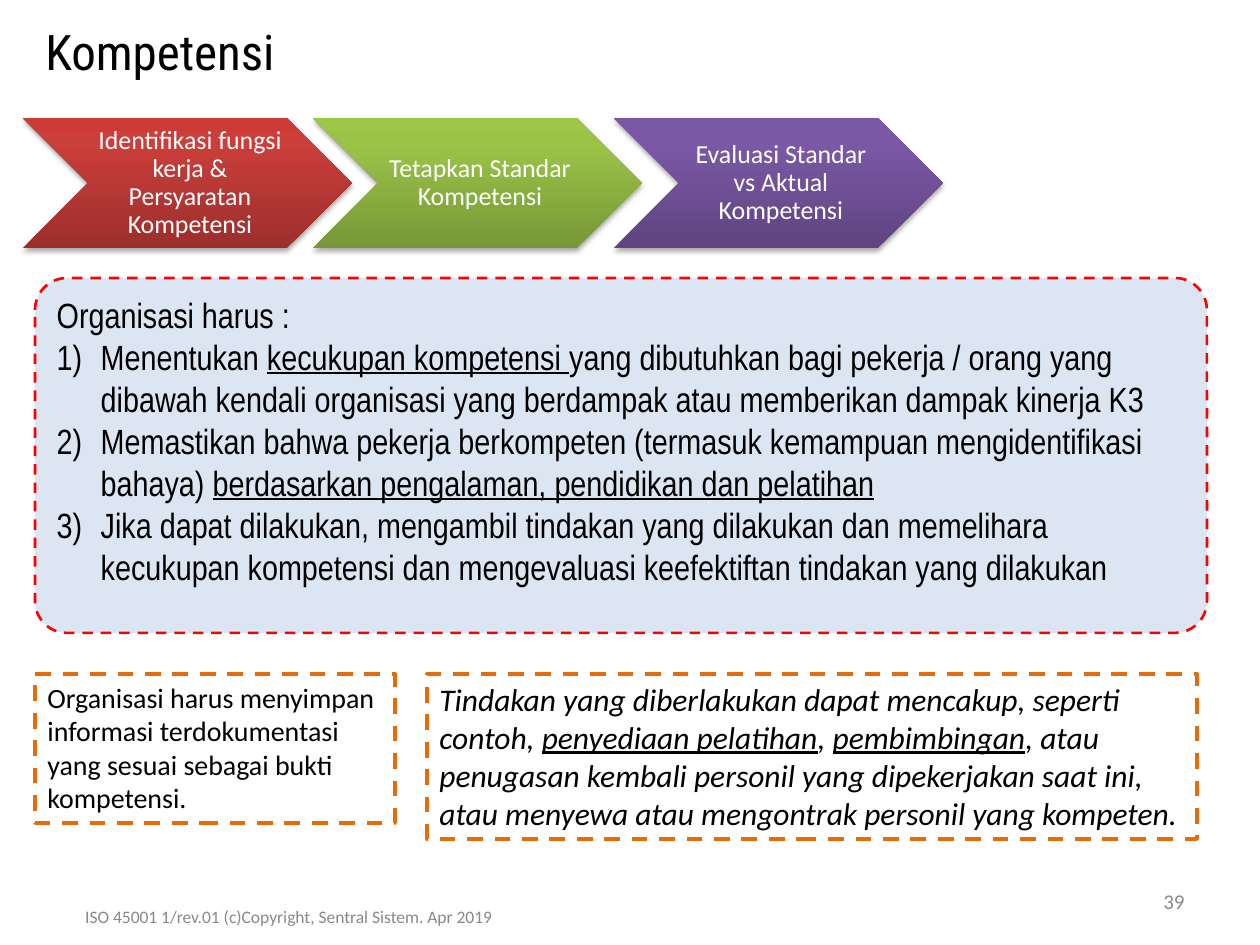
from dataclasses import dataclass

from lxml import etree
from pptx import Presentation
from pptx.dml.color import RGBColor
from pptx.enum import dml, shapes, text
from pptx.oxml.ns import qn
from pptx.util import Emu, Pt

SCALE = 914400 // 126
SHAPE = shapes.MSO_SHAPE
ALIGN = text.PP_ALIGN
ANCHOR = text.MSO_ANCHOR


@dataclass(frozen=True)
class Theme:
    black: str = "000000"
    white: str = "FFFFFF"
    gray: str = "898989"
    pale: str = "DCE6F2"
    red: str = "FF0000"
    orange: str = "E46C0A"
    head: str = "Roboto Condensed"
    body: str = "Calibri"
    narrow: str = "Arial Narrow"
    title: float = 28
    step: float = 14.8
    duty: float = 20
    action: float = 18
    record: float = 16
    page: float = 12
    foot: float = 10


THEME = Theme()

STEPS = [
    (23, "Identifikasi fungsi kerja & Persyaratan Kompetensi", ("9C2F2D", "CB3E3A", "CE3B37")),
    (313, "Tetapkan Standar Kompetensi", ("779737", "9BC348", "9DC746")),
    (614, "Evaluasi Standar vs Aktual Kompetensi", ("5F4480", "7B58A6", "7C57A8")),
]
DUTIES = [
    "Menentukan _kecukupan kompetensi _yang dibutuhkan bagi pekerja / orang yang "
    "dibawah kendali organisasi yang berdampak atau memberikan dampak kinerja K3",
    "Memastikan bahwa pekerja berkompeten (termasuk kemampuan mengidentifikasi "
    "bahaya) _berdasarkan pengalaman, pendidikan dan pelatihan_",
    "Jika dapat dilakukan, mengambil tindakan yang dilakukan dan memelihara "
    "kecukupan kompetensi dan mengevaluasi keefektiftan tindakan yang dilakukan",
]
ACTION = (
    "Tindakan yang diberlakukan dapat mencakup, seperti contoh, _penyediaan pelatihan_, "
    "_pembimbingan_, atau penugasan kembali personil yang dipekerjakan saat ini, "
    "atau menyewa atau mengontrak personil yang kompeten."
)
RECORD = (
    "Organisasi harus menyimpan informasi terdokumentasi yang sesuai "
    "sebagai bukti kompetensi."
)


def px(n):
    return Emu(n * SCALE)


def rgb(code):
    return RGBColor.from_string(code)


def write(para, words, face, size, color, align=ALIGN.LEFT, italic=False):
    para.alignment = align
    font = para.font
    font.name, font.size, font.italic = face, Pt(size), italic
    font.color.rgb = rgb(color)
    for i, part in enumerate(words.split("_")):
        if part:
            run = para.add_run()
            run.text = part
            if i % 2:
                run.font.underline = True


def number(para):
    props = para._p.get_or_add_pPr()
    props.set("marL", str(px(44)))
    props.set("indent", str(-px(44)))
    etree.SubElement(props, qn("a:buFont"), typeface="+mj-lt")
    etree.SubElement(props, qn("a:buAutoNum"), type="arabicParenR")


def shade(shape):
    effects = etree.SubElement(shape._element.spPr, qn("a:effectLst"))
    shadow = etree.SubElement(
        effects, qn("a:outerShdw"), blurRad=str(Pt(3.1)), dist=str(Pt(1.8)),
        dir="5400000", rotWithShape="0",
    )
    color = etree.SubElement(shadow, qn("a:srgbClr"), val=THEME.black)
    etree.SubElement(color, qn("a:alpha"), val="35000")


def blend(fill, colors):
    fill.gradient()
    fill.gradient_angle = 90
    stops = fill._xPr.find(qn("a:gradFill")).find(qn("a:gsLst"))
    for old in list(stops):
        stops.remove(old)
    for spot, color in zip((0, 80000, 100000), colors):
        stop = etree.SubElement(stops, qn("a:gs"), pos=str(spot))
        etree.SubElement(stop, qn("a:srgbClr"), val=color)


def add_step(slide, left, words, colors):
    step = slide.shapes.add_shape(SHAPE.CHEVRON, px(left), px(118), px(329), px(130))
    step.adjustments[0] = 0.5
    blend(step.fill, colors)
    step.line.fill.background()
    shade(step)
    frame = step.text_frame
    frame.word_wrap = True
    frame.vertical_anchor = ANCHOR.MIDDLE
    frame.margin_left = px(8)
    frame.margin_right = frame.margin_top = frame.margin_bottom = px(3)
    para = frame.paragraphs[0]
    para.line_spacing = 0.9
    write(para, words, THEME.body, THEME.step, THEME.white, ALIGN.CENTER)


def add_frame(slide, kind, box, color, width, fill=None):
    shape = slide.shapes.add_shape(kind, *map(px, box))
    shape.shadow.inherit = False
    if fill:
        shape.fill.solid()
        shape.fill.fore_color.rgb = rgb(fill)
    else:
        shape.fill.background()
    shape.line.color.rgb = rgb(color)
    shape.line.width = Pt(width)
    shape.line.dash_style = dml.MSO_LINE.DASH
    shape.text_frame.word_wrap = True
    shape.text_frame.vertical_anchor = ANCHOR.TOP
    return shape


def add_duties(slide):
    panel = add_frame(slide, SHAPE.ROUNDED_RECTANGLE, (35, 278, 1172, 355),
                      THEME.red, 1.5, THEME.pale)
    panel.adjustments[0] = 0.09
    frame = panel.text_frame
    style = THEME.narrow, THEME.duty, THEME.black
    write(frame.paragraphs[0], "Organisasi harus :", *style)
    for duty in DUTIES:
        para = frame.add_paragraph()
        number(para)
        write(para, duty, *style)


def add_note(slide, box, words, size, italic=False):
    note = add_frame(slide, SHAPE.RECTANGLE, box, THEME.orange, 2.25)
    write(note.text_frame.paragraphs[0], words, THEME.body, size, THEME.black,
          italic=italic)


def add_label(slide, box, words, face, size, color, align=ALIGN.LEFT,
              anchor=ANCHOR.MIDDLE):
    frame = slide.shapes.add_textbox(*map(px, box)).text_frame
    frame.word_wrap = True
    frame.vertical_anchor = anchor
    write(frame.paragraphs[0], words, face, size, color, align)


def main():
    deck = Presentation()
    deck.slide_width, deck.slide_height = px(1260), px(945)
    slide = deck.slides.add_slide(deck.slide_layouts[6])
    for step in STEPS:
        add_step(slide, *step)
    add_duties(slide)
    add_note(slide, (427, 674, 770, 165), ACTION, THEME.action, italic=True)
    add_note(slide, (35, 674, 360, 149), RECORD, THEME.record)
    add_label(slide, (33, 15, 997, 72), "Kompetensi", THEME.head, THEME.title,
              THEME.black, anchor=ANCHOR.TOP)
    add_label(slide, (903, 876, 294, 50), "39", THEME.body, THEME.page,
              THEME.gray, ALIGN.RIGHT)
    add_label(slide, (-24, 892, 625, 50),
              "ISO 45001 1/rev.01 (c)Copyright, Sentral Sistem. Apr 2019",
              THEME.body, THEME.foot, THEME.gray, ALIGN.CENTER)
    deck.save("out.pptx")


if __name__ == "__main__":
    main()
